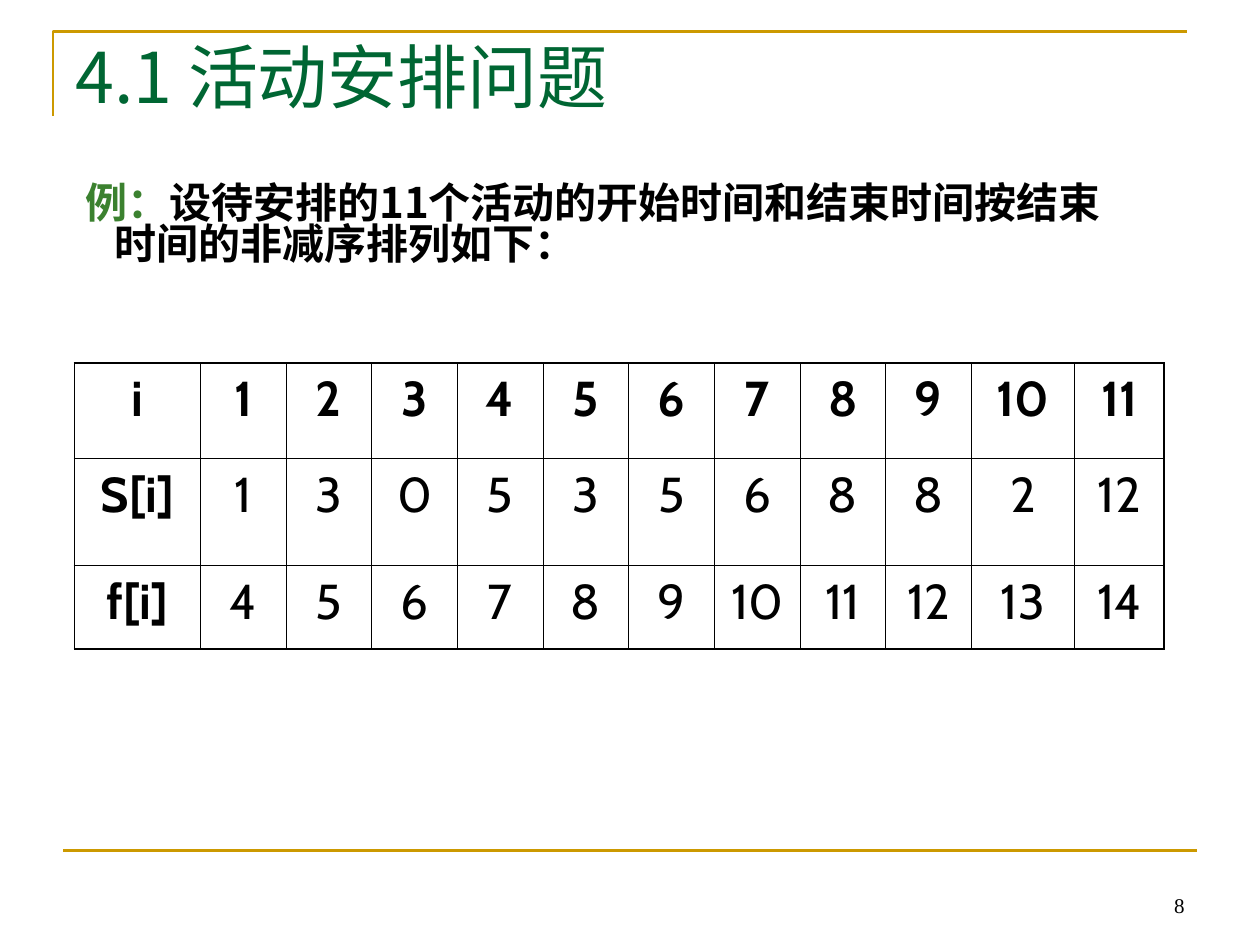
from lxml import etree
from pptx import Presentation, util as u
from pptx.dml.color import RGBColor
from pptx.enum import shapes, text
from pptx.oxml.ns import qn

WIDE, HIGH = 10, 7.5
GOLD, GREEN, LEAF, BLACK = "CC9900", "006633", "3B812F", "000000"
SANS, CELL, SERIF = "Noto Sans CJK SC", "Cabin", "Times New Roman"
THIN, THICK = 0.45, 1.08
COLS = [1] + [0.68] * 9 + [0.82, 0.71]
ROWS = [0.76, 0.85, 0.66]
DATA = [
    ["i", *range(1, 12)],
    ["S[i]", 1, 3, 0, 5, 3, 5, 6, 8, 8, 2, 12],
    ["f[i]", *range(4, 15)],
]


def color(code):
    return RGBColor.from_string(code)


def style(font, face, size, code, bold=False):
    font.name, font.size, font.bold = face, u.Pt(size), bold
    font.color.rgb = color(code)


def east(par, face):
    """Give the runs of a paragraph their East Asian typeface."""
    for run in par.runs:
        node = etree.SubElement(run.font._element, qn("a:ea"))
        node.set("typeface", face)


def stroke(shape):
    shape.line.color.rgb = color(GOLD)
    shape.line.width = u.Pt(1.5)


def write(slide, box, parts, face, size, bold=False):
    """Add a text box whose runs are (words, colour) pairs."""
    frame = slide.shapes.add_textbox(*map(u.Inches, box)).text_frame
    frame.word_wrap = True
    par = frame.paragraphs[0]
    for words, code in parts:
        run = par.add_run()
        run.text = words
        style(run.font, face, size, code, bold)
    east(par, face)
    return frame, par


def corner(slide, left, top, width, height):
    pen = slide.shapes.build_freeform(u.Inches(left), u.Inches(top + height))
    ends = [(left, top), (left + width, top)]
    pen.add_line_segments([(u.Inches(x), u.Inches(y)) for x, y in ends], close=False)
    shape = pen.convert_to_shape()
    shape.shadow.inherit = False
    shape.fill.background()
    stroke(shape)


def rule(slide, left, top, width):
    ends = map(u.Inches, (left, top, left + width, top))
    line = slide.shapes.add_connector(shapes.MSO_CONNECTOR.STRAIGHT, *ends)
    stroke(line)
    etree.SubElement(line._element.spPr, qn("a:effectLst"))


def title(slide, box):
    _, par = write(slide, box, [("4.1 活动安排问题", GREEN)], SANS, 40)
    par.line_spacing = 0.89


def body(slide, box):
    parts = [
        ("例：", LEAF),
        ("设待安排的11个活动的开始时间和结束时间按结束时间的非减序排列如下：", BLACK),
    ]
    frame, par = write(slide, box, parts, SANS, 24, True)
    frame.margin_top = u.Inches(0.08)
    par.line_spacing = 0.82
    props = par._p.get_or_add_pPr()
    props.set("marL", str(u.Inches(0.38)))
    props.set("indent", str(u.Inches(-0.23)))


def number(slide, box):
    frame, par = write(slide, box, [("8", BLACK)], SERIF, 12)
    frame.vertical_anchor = text.MSO_ANCHOR.BOTTOM
    par.alignment = text.PP_ALIGN.RIGHT


def border(cell, row, col):
    """Draw thin inner edges and thick outer ones."""
    outer = {
        "L": col == 0,
        "R": col == len(COLS) - 1,
        "T": row == 0,
        "B": row == len(ROWS) - 1,
    }
    props = cell._tc.get_or_add_tcPr()
    for spot, (side, edge) in enumerate(outer.items()):
        line = etree.Element(qn(f"a:ln{side}"), w=str(u.Pt(THICK if edge else THIN)))
        fill = etree.SubElement(line, qn("a:solidFill"))
        etree.SubElement(fill, qn("a:srgbClr"), val=BLACK)
        props.insert(spot, line)


def times(slide, left, top):
    box = map(u.Inches, (left, top, sum(COLS), sum(ROWS)))
    table = slide.shapes.add_table(len(ROWS), len(COLS), *box).table
    table.first_row = table.horz_banding = False
    for col, width in zip(table.columns, COLS):
        col.width = u.Inches(width)
    for r, (height, values) in enumerate(zip(ROWS, DATA)):
        table.rows[r].height = u.Inches(height)
        for c, value in enumerate(values):
            cell = table.cell(r, c)
            cell.text = str(value)
            cell.fill.background()
            par = cell.text_frame.paragraphs[0]
            par.alignment = text.PP_ALIGN.CENTER
            par.space_before = u.Pt(7)
            style(par.font, CELL, 28, BLACK, r == 0 or c == 0)
            border(cell, r, c)


def main():
    deck = Presentation()
    deck.slide_width, deck.slide_height = u.Inches(WIDE), u.Inches(HIGH)
    slide = deck.slides.add_slide(deck.slide_layouts[6])
    edge, span = WIDE * 0.05, WIDE * 0.9
    corner(slide, 0.42, 0.25, span, 0.67)
    rule(slide, edge, HIGH * 0.9, span)
    number(slide, (7.17, 6.83, 2.33, 0.5))
    title(slide, (edge, 0.3, span, 1.25))
    body(slide, (0.43, 1.39, 8.66, 1.19))
    times(slide, 0.59, 2.88)
    deck.save("out.pptx")


if __name__ == "__main__":
    main()
